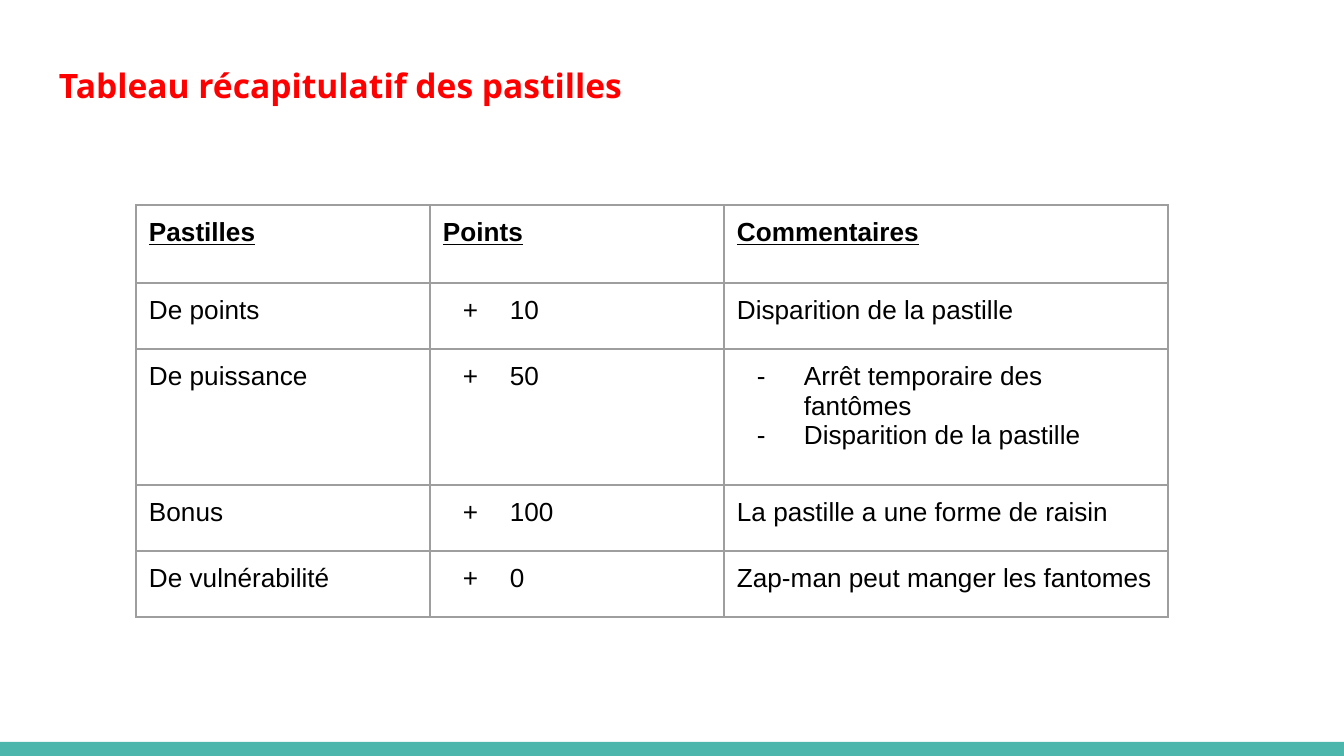
from lxml.etree import SubElement as Sub
from pptx import Presentation
from pptx.dml.color import RGBColor as Rgb
from pptx.enum.shapes import MSO_SHAPE as Shape
from pptx.enum.text import MSO_ANCHOR as Anchor, MSO_AUTO_SIZE as Auto, PP_ALIGN as Align
from pptx.oxml.ns import qn
from pptx.util import Pt

SCALE = 9144000 / 1344
PAD = 13
COLS = [294, 294, 444]
ROWS = [78, 66, 136, 66, 66]
HEAD = ["Pastilles", "Points", "Commentaires"]
DATA = [
    ("De points", "10", ["Disparition de la pastille"]),
    ("De puissance", "50", ["Arrêt temporaire des fantômes", "Disparition de la pastille"]),
    ("Bonus", "100", ["La pastille a une forme de raisin"]),
    ("De vulnérabilité", "0", ["Zap-man peut manger les fantomes"]),
]


def px(num):
    return round(num * SCALE)


def color(code):
    return Rgb.from_string(code)


def style(para, face, size, code, bold=False, line=False):
    for run in para.runs:
        font = run.font
        font.name, font.size = face, Pt(size)
        font.bold, font.underline = bold, line
        font.color.rgb = color(code)


def pad(item):
    item.margin_left = item.margin_right = px(PAD)
    item.margin_top = item.margin_bottom = px(PAD)


def bullet(para, mark):
    props = para._p.get_or_add_pPr()
    props.set("marL", str(px(67)))
    props.set("indent", str(px(-47)))
    tint = Sub(props, qn("a:buClr"))
    Sub(tint, qn("a:srgbClr"), val="000000")
    Sub(props, qn("a:buFont"), typeface="Arial")
    Sub(props, qn("a:buChar"), char=mark)


def border(cell, code):
    props = cell._tc.get_or_add_tcPr()
    for side in ("lnL", "lnR", "lnT", "lnB"):
        line = Sub(props, qn("a:" + side), w=str(Pt(0.75)))
        fill = Sub(line, qn("a:solidFill"))
        Sub(fill, qn("a:srgbClr"), val=code)


def fill_cell(cell, lines, mark=None, head=False):
    pad(cell)
    border(cell, "9E9E9E")
    cell.fill.background()
    cell.text_frame.text = "\n".join(lines)
    for para in cell.text_frame.paragraphs:
        style(para, "Arial", 14, "000000", head, head)
        if mark:
            bullet(para, mark)


def add_bar(slide):
    bar = slide.shapes.add_shape(Shape.RECTANGLE, 0, px(742), px(1344), px(14))
    bar.shadow.inherit = False
    bar.fill.solid()
    bar.fill.fore_color.rgb = color("4DB6AC")
    bar.line.fill.background()


def set_title(slide, text):
    title = slide.shapes.title
    title.left, title.top = px(46), px(46)
    title.width, title.height = px(1252), px(626)
    frame = title.text_frame
    frame.text = text
    frame.word_wrap = True
    frame.auto_size = Auto.NONE
    frame.vertical_anchor = Anchor.TOP
    pad(frame)
    para = frame.paragraphs[0]
    para.alignment = Align.LEFT
    para.line_spacing = 1.15
    para.space_after = Pt(16)
    style(para, "Open Sans", 18, "FF0000", True)


def add_grid(slide):
    grid = slide.shapes.add_table(
        len(ROWS), len(COLS), px(136), px(205), px(sum(COLS)), px(sum(ROWS))
    ).table
    grid.first_row = grid.horz_banding = False
    for col, width in zip(grid.columns, COLS):
        col.width = px(width)
    for row, height in zip(grid.rows, ROWS):
        row.height = px(height)
    for col, text in enumerate(HEAD):
        fill_cell(grid.cell(0, col), [text], head=True)
    for row, (name, points, notes) in enumerate(DATA, 1):
        fill_cell(grid.cell(row, 0), [name])
        fill_cell(grid.cell(row, 1), [points], "+")
        fill_cell(grid.cell(row, 2), notes, "-" if len(notes) > 1 else None)


def main():
    deck = Presentation()
    deck.slide_width, deck.slide_height = px(1344), px(756)
    slide = deck.slides.add_slide(deck.slide_layouts[5])
    add_bar(slide)
    set_title(slide, "Tableau récapitulatif des pastilles")
    add_grid(slide)
    deck.save("out.pptx")


if __name__ == "__main__":
    main()
